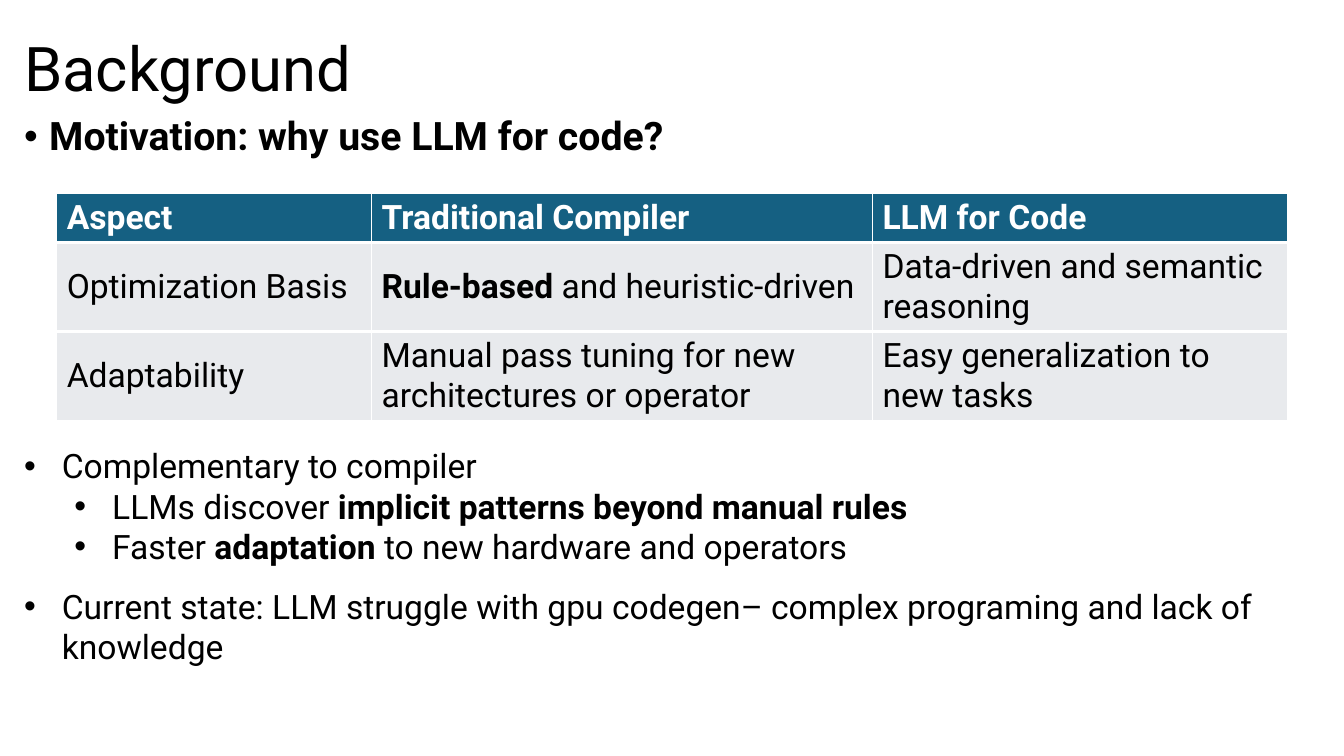
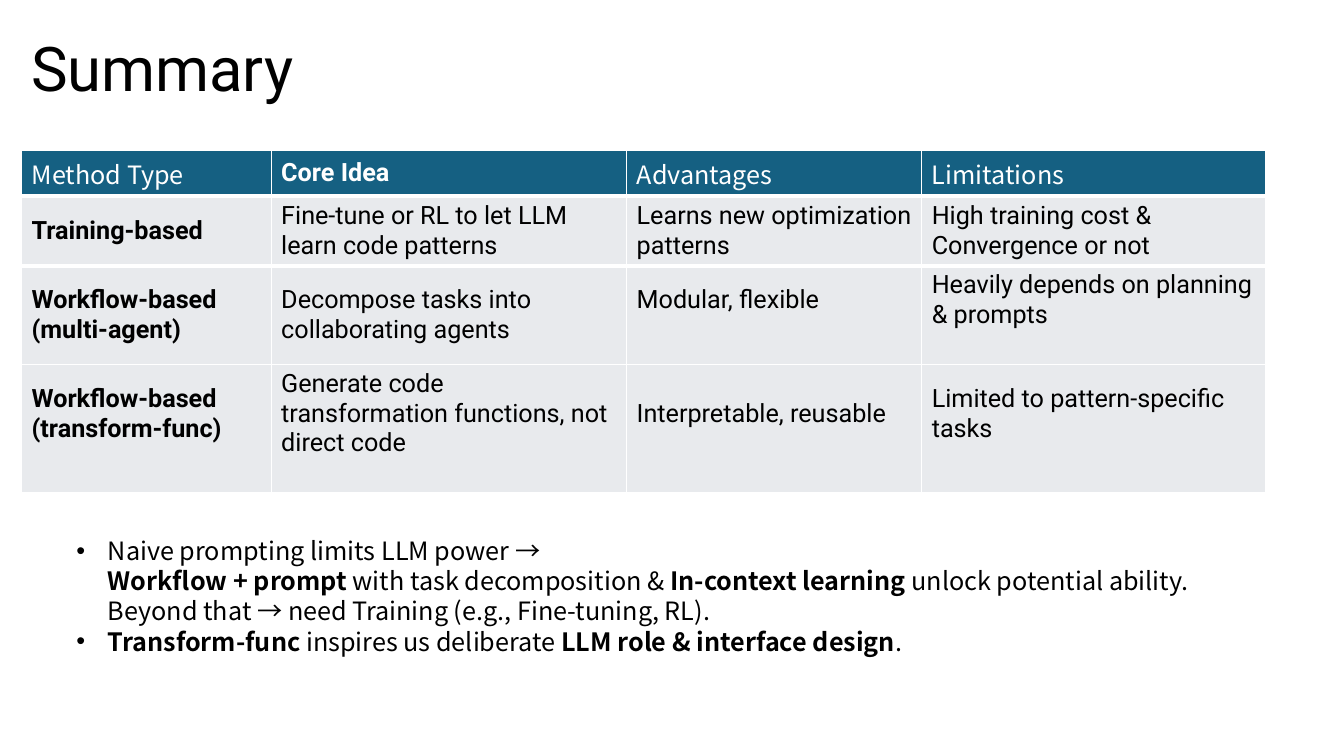
import pptx
import pptx.util
import pptx.dml.color
import pptx.enum.text
import pptx.oxml.ns
import lxml.etree

Pt = pptx.util.Pt
RGBColor = pptx.dml.color.RGBColor
MIDDLE = pptx.enum.text.MSO_ANCHOR.MIDDLE

BLACK = RGBColor(0x00, 0x00, 0x00)
WHITE = RGBColor(0xFF, 0xFF, 0xFF)
TEAL = RGBColor(0x15, 0x60, 0x82)
GRAY = RGBColor(0xE8, 0xEA, 0xED)
SANS = "Roboto"
CJK = "Noto Sans CJK SC"


def write(par, text, size, font=SANS, color=BLACK):
    """Fill a paragraph; *stars* enclose bold words, newlines break lines."""
    for i, part in enumerate(text.split("*")):
        for j, line in enumerate(part.split("\n")):
            if j:
                par.add_line_break()
            if not line:
                continue
            run = par.add_run()
            run.text = line
            run.font.size = Pt(size)
            run.font.name = font
            run.font.bold = i % 2 == 1
            run.font.color.rgb = color
            east = lxml.etree.SubElement(
                run.font._element, pptx.oxml.ns.qn("a:ea"))
            east.set("typeface", font)


def add_list(slide, box, items, size, hang, font=SANS, space=1):
    """Add a bulleted text box; items are (level, text) pairs."""
    frame = slide.shapes.add_textbox(*map(Pt, box)).text_frame
    frame.word_wrap = True
    for i, (level, text) in enumerate(items):
        par = frame.add_paragraph() if i else frame.paragraphs[0]
        par.level = level
        par.line_spacing = space
        props = par._p.get_or_add_pPr()
        props.set("marL", str(Pt(hang + 36 * level)))
        props.set("indent", str(-Pt(hang)))
        for tag, key, value in (("a:buFont", "typeface", "Arial"),
                                ("a:buChar", "char", "•")):
            mark = lxml.etree.SubElement(props, pptx.oxml.ns.qn(tag))
            mark.set(key, value)
        write(par, text, size, font)


deck = pptx.Presentation()
deck.slide_width = Pt(960)
deck.slide_height = Pt(540)

# Each page: title, title box, table corner, column widths, row heights,
# text size, cells
pages = [
    ("Background", (10.1, 22.3, 770, 57.6), (40.5, 138.4),
     (224.9, 357.8, 296.4), (34.3, 63.5, 63.5), 24, [
         ["*Aspect*", "*Traditional Compiler*", "*LLM for Code*"],
         ["Optimization Basis", "*Rule-based* and heuristic-driven",
          "Data-driven and semantic reasoning"],
         ["Adaptability",
          "Manual pass tuning for new architectures or operator",
          "Easy generalization to new tasks"],
     ]),
    ("Summary", (15.1, 9.4, 752, 82.8), (15.4, 107.6),
     (178.3, 253.9, 210.8, 245.3), (32.2, 50, 70.4, 91.6), 18, [
         ["Method Type", "*Core Idea*", "Advantages", "Limitations"],
         ["*Training-based*",
          "Fine-tune or RL to let LLM learn code patterns",
          "Learns new optimization patterns",
          "High training cost & Convergence or not"],
         ["*Workflow-based (multi-agent)*",
          "Decompose tasks into collaborating agents",
          "Modular, flexible", "Heavily depends on planning & prompts"],
         ["*Workflow-based (transform-func)*",
          "Generate code transformation functions, not direct code",
          "Interpretable, reusable", "Limited to pattern-specific tasks"],
     ]),
]
# Cells of the summary table whose text sits one line higher
RAISED = {(2, 2), (2, 3), (3, 0), (3, 1), (3, 2), (3, 3)}

slides = []
for title, box, corner, widths, heights, size, cells in pages:
    slide = deck.slides.add_slide(deck.slide_layouts[6])
    slides.append(slide)

    frame = slide.shapes.add_textbox(*map(Pt, box)).text_frame
    frame.word_wrap = True
    frame.vertical_anchor = MIDDLE
    frame.paragraphs[0].line_spacing = 0.9
    write(frame.paragraphs[0], title, 44)

    table = slide.shapes.add_table(
        len(heights), len(widths), *map(Pt, corner),
        Pt(sum(widths)), Pt(sum(heights))).table
    for column, width in zip(table.columns, widths):
        column.width = Pt(width)
    for r, texts in enumerate(cells):
        table.rows[r].height = Pt(heights[r])
        for c, text in enumerate(texts):
            cell = table.cell(r, c)
            cell.vertical_anchor = MIDDLE
            cell.margin_top = cell.margin_bottom = Pt(3)
            if title == "Summary" and (r, c) in RAISED:
                cell.margin_bottom = Pt(24)
            if r < 2:  # thick rule between header and body
                edge = lxml.etree.SubElement(
                    cell._tc.get_or_add_tcPr(),
                    pptx.oxml.ns.qn("a:lnT" if r else "a:lnB"))
                edge.set("w", str(Pt(3)))
                paint = lxml.etree.SubElement(
                    edge, pptx.oxml.ns.qn("a:solidFill"))
                tint = lxml.etree.SubElement(
                    paint, pptx.oxml.ns.qn("a:srgbClr"))
                tint.set("val", str(WHITE))
            cell.fill.solid()
            cell.fill.fore_color.rgb = GRAY if r else TEAL
            plain = r == 0 and "*" not in text
            write(cell.text_frame.paragraphs[0], text, size,
                  CJK if plain else SANS, BLACK if r else WHITE)

intro, recap = slides
add_list(intro, (10.1, 79.9, 884, 40),
         [(0, "*Motivation: why use LLM for code?*")], 28, 18, space=0.9)
add_list(intro, (10.1, 314.6, 665, 95), [
    (0, "Complementary to compiler"),
    (1, "LLMs discover *implicit patterns beyond manual rules*"),
    (1, "Faster *adaptation* to new hardware and operators"),
], 24, 27)
add_list(intro, (10.1, 414.7, 910, 65.5), [
    (0, "Current state: LLM struggle with gpu codegen– complex programing "
        "and lack of knowledge"),
], 24, 27)
add_list(recap, (47.5, 378.7, 830, 94.3), [
    (0, "Naive prompting limits LLM power →\n*Workflow + prompt* with task "
        "decomposition & *In-context learning* unlock potential ability.\n"
        "Beyond that → need Training (e.g., Fine-tuning, RL)."),
    (0, "*Transform-func* inspires us deliberate "
        "*LLM role & interface design*."),
], 18, 22.5, CJK)

deck.save("out.pptx")
